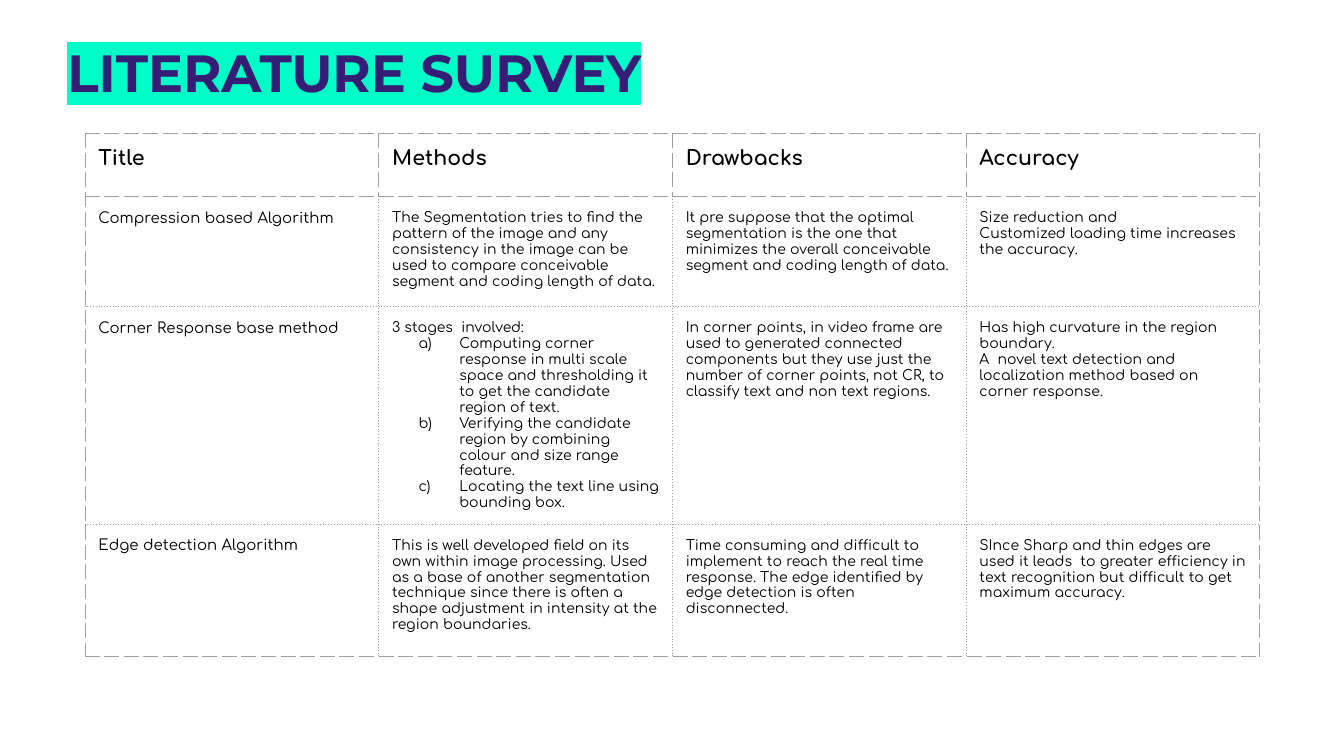
"""Build the literature survey slide: a highlighted title above a four-column comparison table."""
import pptx
import pptx.dml.color
import pptx.enum.dml
import pptx.enum.text
import pptx.oxml
import pptx.oxml.ns
import pptx.util
from pptx.util import Cm

NS = pptx.oxml.ns.nsdecls("a")


def rgb(value):
    return pptx.dml.color.RGBColor.from_string(value)


def element(xml):
    return pptx.oxml.parse_xml(xml.replace(" NS", f" {NS}", 1))


headings = ["Title", "Methods", "Drawbacks", "Accuracy"]
compression = [
    "Compression based Algorithm",
    "The Segmentation tries to find the pattern of the image and any consistency in the image "
    "can be used to compare conceivable segment and coding length of data.",
    "It pre suppose that the optimal segmentation is the one that minimizes the overall "
    "conceivable segment and coding length of data.",
    "Size reduction and\nCustomized loading time increases the accuracy.",
]
corner_stages = [
    "Computing corner response in multi scale space and thresholding it to get the candidate "
    "region of text.",
    "Verifying the candidate region by combining colour and size range feature.",
    "Locating the text line using bounding box.",
]
corner = [
    "Corner Response base method",
    "\n".join(["3 stages  involved:"] + corner_stages),
    "In corner points, in video frame are used to generated connected components but they use "
    "just the number of corner points, not CR, to classify text and non text regions.",
    "Has high curvature in the region boundary.\n"
    "A  novel text detection and localization method based on corner response.",
]
edge = [
    "Edge detection Algorithm",
    "This is well developed field on its own within image processing. Used as a base of another "
    "segmentation technique since there is often a shape adjustment in intensity at the region "
    "boundaries.",
    "Time consuming and difficult to implement to reach the real time response. The edge "
    "identified by edge detection is often disconnected.",
    "SInce Sharp and thin edges are used it leads  to greater efficiency in text recognition "
    "but difficult to get maximum accuracy.",
]
survey = [headings, compression, corner, edge]
row_heights = [1.19, 2.08, 3.84, 2.49]
column_width = 5.55

prs = pptx.Presentation()
prs.slide_width, prs.slide_height = Cm(25.4), Cm(14.29)
slide = prs.slides.add_slide(prs.slide_layouts[5])
slide.background.fill.solid()
slide.background.fill.fore_color.rgb = rgb("FFFFFF")

title = slide.shapes.title
title.left, title.top, title.width, title.height = Cm(1.02), Cm(0.08), Cm(12.9), Cm(2.11)
title_frame = title.text_frame
title_frame.auto_size = pptx.enum.text.MSO_AUTO_SIZE.NONE
title_frame.word_wrap = True
title_frame.vertical_anchor = pptx.enum.text.MSO_ANCHOR.BOTTOM
title_frame.margin_left = title_frame.margin_right = Cm(0.25)
title_frame.margin_top = title_frame.margin_bottom = Cm(0.25)
title_frame.paragraphs[0].alignment = pptx.enum.text.PP_ALIGN.LEFT
title_run = title_frame.paragraphs[0].add_run()
title_run.text = "LITERATURE SURVEY"
title_run.font.size = pptx.util.Pt(28)
title_run.font.bold = True
title_run.font.name = "Montserrat"
title_run.font.color.rgb = rgb("351C75")
title_run.font.fill._xPr.find(pptx.oxml.ns.qn("a:solidFill")).addnext(
    element('<a:highlight NS><a:srgbClr val="00FDC8"/></a:highlight>'))

table = slide.shapes.add_table(
    len(survey), len(headings), Cm(1.61), Cm(2.53),
    Cm(column_width * len(headings)), Cm(sum(row_heights))).table
table.first_row = False
table.horz_banding = False
for column in table.columns:
    column.width = Cm(column_width)

last_row, last_column = len(survey) - 1, len(headings) - 1
for r, (entries, height) in enumerate(zip(survey, row_heights)):
    table.rows[r].height = Cm(height)
    for c, entry in enumerate(entries):
        cell = table.cell(r, c)
        cell.fill.background()
        cell.margin_left = cell.margin_right = Cm(0.25)
        cell.margin_top = cell.margin_bottom = Cm(0.25)
        cell.vertical_anchor = pptx.enum.text.MSO_ANCHOR.TOP

        is_heading = r == 0
        dashed = {"L": is_heading or c == 0, "R": is_heading or c == last_column,
                  "T": r <= 1, "B": is_heading or r == last_row}
        for position, (side, is_dashed) in enumerate(dashed.items()):
            dash = "lgDash" if is_dashed else "dot"
            cell._tc.get_or_add_tcPr().insert(position, element(
                f'<a:ln{side} NS w="9525"><a:solidFill><a:srgbClr val="9E9E9E"/></a:solidFill>'
                f'<a:prstDash val="{dash}"/></a:ln{side}>'))

        size = 11 if is_heading else 8 if c == 0 else 7.5
        for i, line in enumerate(entry.split("\n")):
            frame = cell.text_frame
            paragraph = frame.paragraphs[0] if i == 0 else frame.add_paragraph()
            if line in corner_stages:
                properties = paragraph._p.get_or_add_pPr()
                properties.set("marL", str(Cm(1.27)))
                properties.set("indent", str(-Cm(0.77)))
                properties.append(element('<a:buClr NS><a:srgbClr val="000000"/></a:buClr>'))
                properties.append(element('<a:buFont NS typeface="Comfortaa"/>'))
                properties.append(element('<a:buAutoNum NS type="alphaLcParenR"/>'))
            run = paragraph.add_run()
            run.text = line
            run.font.size = pptx.util.Pt(size)
            run.font.bold = is_heading
            run.font.name = "Comfortaa"
            run.font.color.rgb = rgb("000000")

prs.save("out.pptx")
